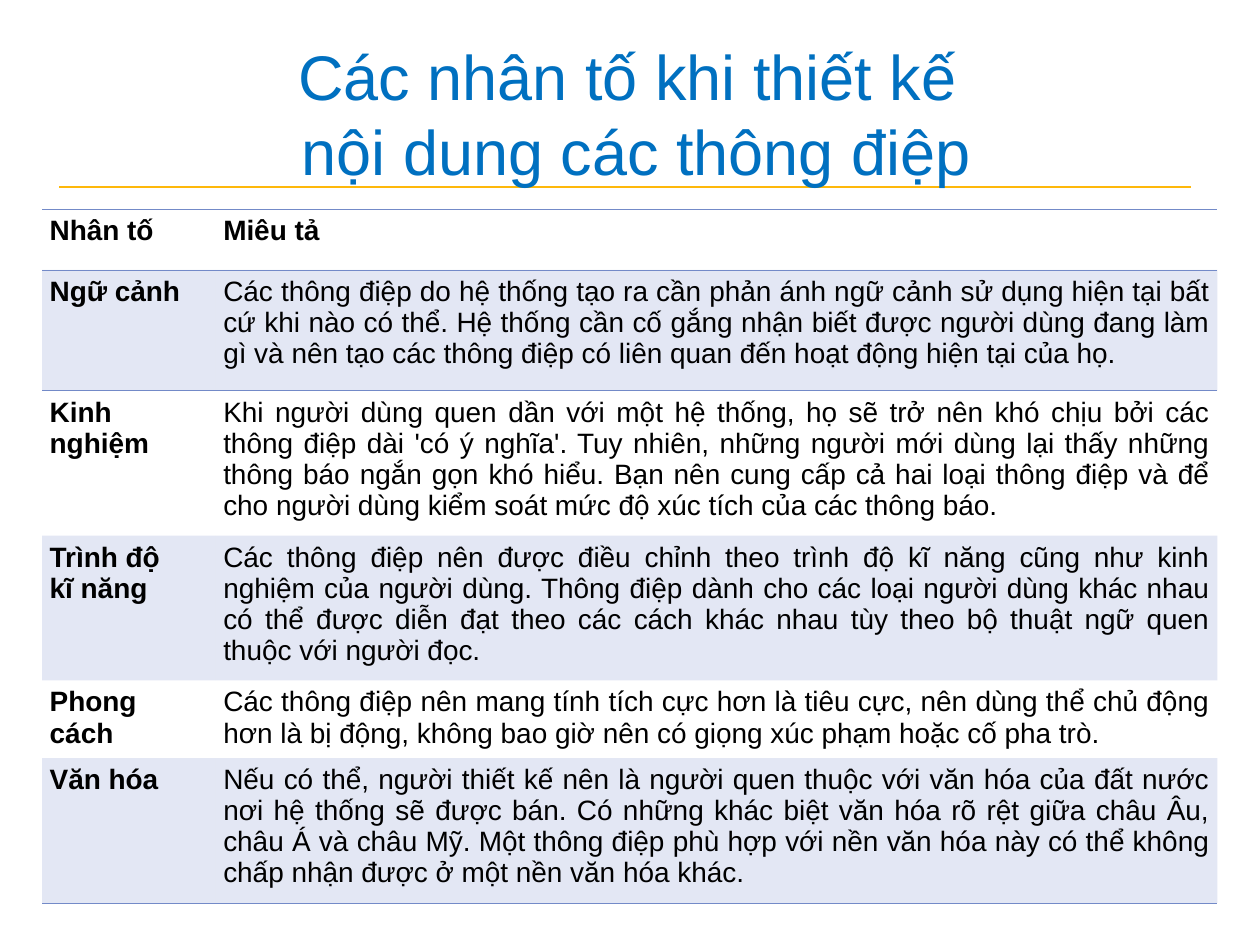
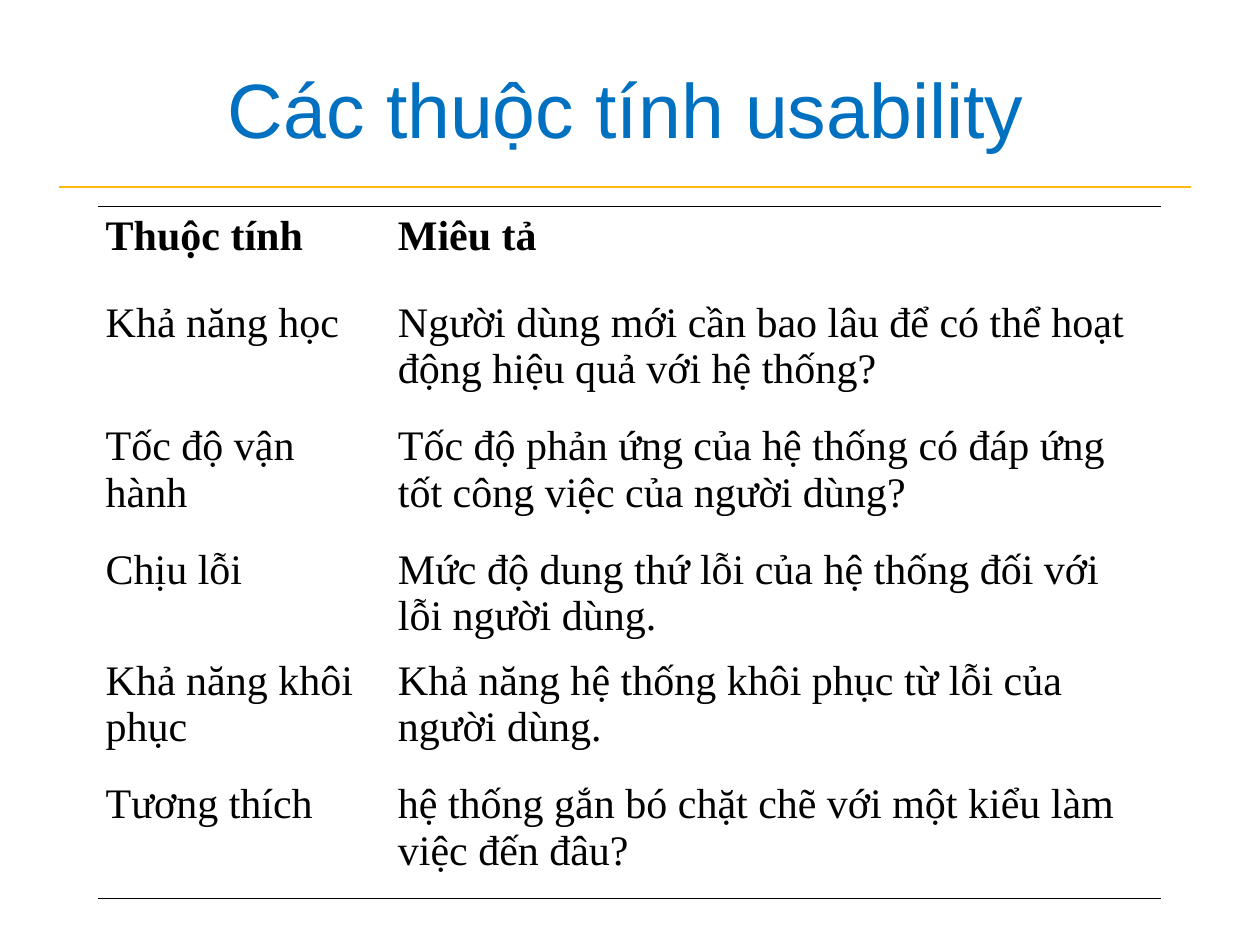
from lxml.etree import SubElement
from pptx import Presentation
from pptx.dml.color import RGBColor
from pptx.enum.shapes import MSO_CONNECTOR
from pptx.enum.text import MSO_ANCHOR, MSO_AUTO_SIZE, PP_ALIGN
from pptx.oxml.ns import qn
from pptx.util import Pt

BLUE = RGBColor(0x00, 0x70, 0xC0)
GOLD = RGBColor(0xFE, 0xB8, 0x0A)
PERIWINKLE = RGBColor(0x73, 0x8A, 0xC8)
BLACK = RGBColor(0x00, 0x00, 0x00)
NO_GRID_STYLE = "{2D5ABB26-0587-4C30-8999-92F81FD0307C}"

FACTORS = [
    ("Nhân tố", "Miêu tả"),
    ("Ngữ cảnh",
     "Các thông điệp do hệ thống tạo ra cần phản ánh ngữ cảnh sử dụng hiện tại bất cứ khi nào "
     "có thể. Hệ thống cần cố gắng nhận biết được người dùng đang làm gì và nên tạo các thông "
     "điệp có liên quan đến hoạt động hiện tại của họ."),
    ("Kinh nghiệm",
     "Khi người dùng quen dần với một hệ thống, họ sẽ trở nên khó chịu bởi các thông điệp dài "
     "'có ý nghĩa'. Tuy nhiên, những người mới dùng lại thấy những thông báo ngắn gọn khó hiểu. "
     "Bạn nên cung cấp cả hai loại thông điệp và để cho người dùng kiểm soát mức độ xúc tích "
     "của các thông báo."),
    ("Trình độ\nkĩ năng",
     "Các thông điệp nên được điều chỉnh theo trình độ kĩ năng cũng như kinh nghiệm của người "
     "dùng. Thông điệp dành cho các loại người dùng khác nhau có thể được diễn đạt theo các "
     "cách khác nhau tùy theo bộ thuật ngữ quen thuộc với người đọc."),
    ("Phong cách",
     "Các thông điệp nên mang tính tích cực hơn là tiêu cực, nên dùng thể chủ động hơn là bị "
     "động, không bao giờ nên có giọng xúc phạm hoặc cố pha trò."),
    ("Văn hóa",
     "Nếu có thể, người thiết kế nên là người quen thuộc với văn hóa của đất nước nơi hệ thống "
     "sẽ được bán. Có những khác biệt văn hóa rõ rệt giữa châu Âu, châu Á và châu Mỹ. Một "
     "thông điệp phù hợp với nền văn hóa này có thể không chấp nhận được ở một nền văn hóa khác."),
]
ATTRIBUTES = [
    ("Thuộc tính", "Miêu tả"),
    ("Khả năng học", "Người dùng mới cần bao lâu để có thể hoạt động hiệu quả với hệ thống?"),
    ("Tốc độ vận hành", "Tốc độ phản ứng của hệ thống có đáp ứng tốt công việc của người dùng?"),
    ("Chịu lỗi", "Mức độ dung thứ lỗi của hệ thống đối với lỗi người dùng."),
    ("Khả năng khôi phục", "Khả năng hệ thống khôi phục từ lỗi của người dùng."),
    ("Tương thích", "hệ thống gắn bó chặt chẽ với một kiểu làm việc đến đâu?"),
]
SLIDES = [
    {"title": "Các nhân tố khi thiết kế \nnội dung các thông điệp",
     "title_box": (30.24, 20.88, 666.72, 87.12), "title_size": 36,
     "rows": FACTORS, "corner": (24, 119.5),
     "widths": (99.2, 572.4), "heights": (34.7, 69, 82.8, 82.8, 44.4, 82.8),
     "font": "Arial", "size": 16, "align": PP_ALIGN.JUSTIFY, "rule": PERIWINKLE,
     "banded": True, "bold_labels": True, "header_rule": True},
    {"title": "Các thuộc tính usability",
     "title_box": (33.84, 16.56, 648, 90), "title_size": 44,
     "rows": ATTRIBUTES, "corner": (56, 118),
     "widths": (167, 440.6), "heights": (49.7, 70.6, 70.6, 63.4, 70.6, 70.6),
     "font": "Times New Roman", "size": 24, "align": PP_ALIGN.LEFT, "rule": BLACK,
     "banded": False, "bold_labels": False, "header_rule": False},
]


def write(frame, text, align, font, size, color, bold=False):
    para = frame.paragraphs[0]
    para.alignment = align
    for index, line in enumerate(text.split("\n")):
        if index:
            para.add_line_break()
        span = para.add_run()
        span.text = line
        span.font.name = font
        span.font.size = Pt(size)
        span.font.color.rgb = color
        span.font.bold = bold


def add_title(page, content):
    title = page.shapes.title
    title.left, title.top, title.width, title.height = map(Pt, content["title_box"])
    frame = title.text_frame
    frame.word_wrap = True
    frame.auto_size = MSO_AUTO_SIZE.NONE
    frame.vertical_anchor = MSO_ANCHOR.MIDDLE
    write(frame, content["title"], PP_ALIGN.CENTER, "Arial", content["title_size"], BLUE)

    underline = page.shapes.add_connector(
        MSO_CONNECTOR.STRAIGHT, Pt(33.84), Pt(106.8), Pt(680.4), Pt(106.8))
    underline.line.color.rgb = GOLD
    underline.line.width = Pt(0.75)
    SubElement(underline.element.spPr, qn("a:effectLst"))
    title.element.addprevious(underline.element)


def add_border(cell, side, color):
    properties = cell._tc.get_or_add_tcPr()
    border = SubElement(properties, qn(f"a:{side}"), w=str(Pt(0.45)))
    fill = SubElement(border, qn("a:solidFill"))
    SubElement(fill, qn("a:srgbClr"), val=str(color))


def fill_cell(cell, shaded):
    if not shaded:
        cell.fill.background()
        return
    cell.fill.solid()
    cell.fill.fore_color.rgb = PERIWINKLE
    tint = cell._tc.tcPr.find(f"{qn('a:solidFill')}/{qn('a:srgbClr')}")
    SubElement(tint, qn("a:alpha"), val="20000")


def add_grid(page, content):
    rows, widths, heights = content["rows"], content["widths"], content["heights"]
    left, top = content["corner"]
    holder = page.shapes.add_table(
        len(rows), len(widths), Pt(left), Pt(top), Pt(sum(widths)), Pt(sum(heights)))
    table = holder.table
    table.first_row = table.horz_banding = False
    holder.element.find(f".//{qn('a:tableStyleId')}").text = NO_GRID_STYLE
    for column, width in zip(table.columns, widths):
        column.width = Pt(width)
    for row, height in zip(table.rows, heights):
        row.height = Pt(height)

    last = len(rows) - 1
    for r, texts in enumerate(rows):
        for c, text in enumerate(texts):
            cell = table.cell(r, c)
            cell.margin_left = cell.margin_right = Pt(4.4)
            cell.margin_top = cell.margin_bottom = Pt(3.6)
            bold = r == 0 or (c == 0 and content["bold_labels"])
            align = PP_ALIGN.LEFT if "\n" in text else content["align"]
            write(cell.text_frame, text, align, content["font"], content["size"], BLACK, bold)
            if r == 0 or (r == 1 and content["header_rule"]):
                add_border(cell, "lnT", content["rule"])
            if r == last or (r == 0 and content["header_rule"]):
                add_border(cell, "lnB", content["rule"])
            fill_cell(cell, content["banded"] and r % 2 == 1)


def main():
    deck = Presentation()
    deck.slide_width, deck.slide_height = Pt(720), Pt(540)
    for content in SLIDES:
        page = deck.slides.add_slide(deck.slide_layouts[5])
        add_title(page, content)
        add_grid(page, content)
    deck.save("out.pptx")


if __name__ == "__main__":
    main()
